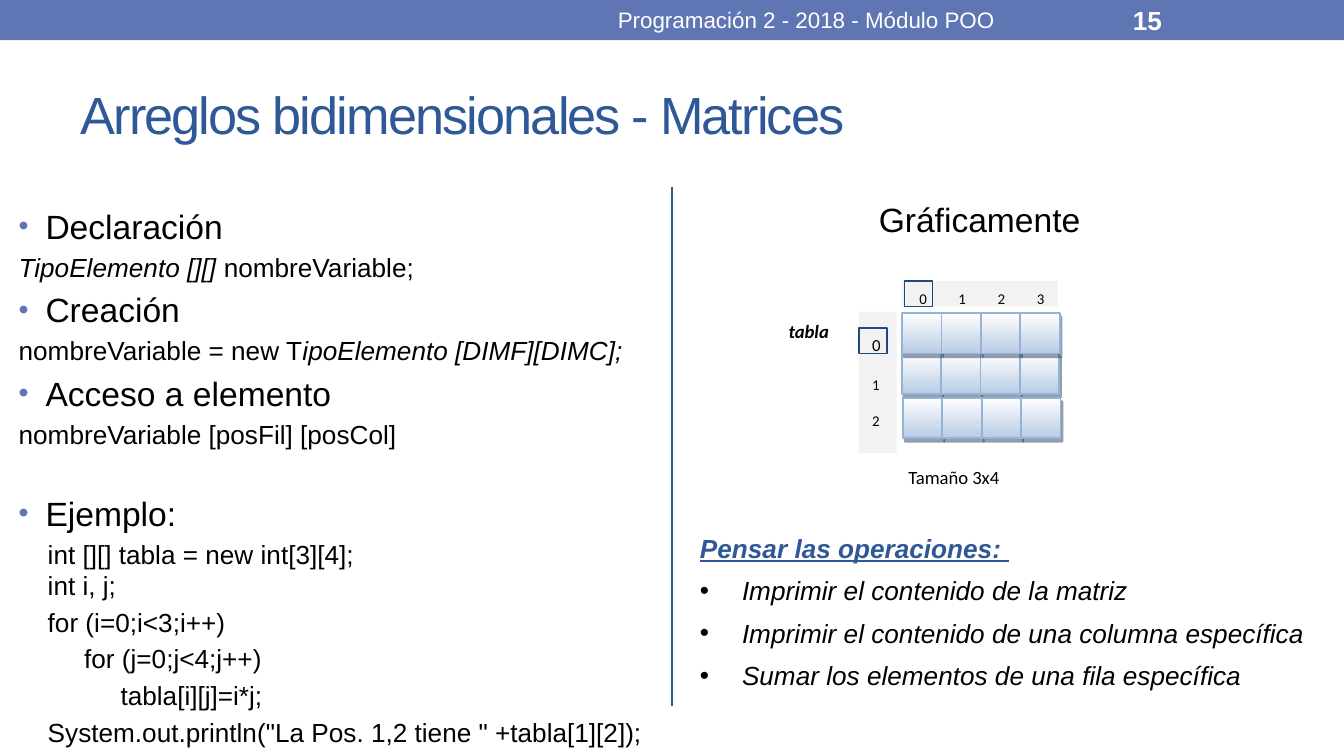
import dataclasses

import pptx
import pptx.dml.color
import pptx.enum.shapes
import pptx.enum.text
import pptx.oxml.ns
import pptx.util
from lxml import etree

Pt = pptx.util.Pt
qn = pptx.oxml.ns.qn
ANCHOR = pptx.enum.text.MSO_ANCHOR
ALIGN = pptx.enum.text.PP_ALIGN
SHAPES = pptx.enum.shapes.MSO_SHAPE

BLUE, NAVY, GRAY = "6076B4", "2F5897", "F2F2F2"
BLACK, WHITE = "000000", "FFFFFF"


@dataclasses.dataclass
class Run:
    text: str
    italic: bool = False


@dataclasses.dataclass
class Para:
    runs: list[Run]
    size: float = 14
    before: float = 0
    indent: float = 0
    bullet: str = ""  # bullet colour, empty for none
    bullet_pct: int = 100
    font: str = "Arial"
    color: str = BLACK
    bold: bool = False
    underline: bool = False
    align: ALIGN = ALIGN.LEFT


def rgb(value: str) -> pptx.dml.color.RGBColor:
    return pptx.dml.color.RGBColor.from_string(value)


def para(text: str, italic: bool = False, **fmt) -> Para:
    return Para([Run(text, italic)], **fmt)


def write(sp, paras: list[Para], anchor=ANCHOR.TOP, wrap=True, inset=(7.2, 3.6, 7.2, 3.6)) -> None:
    tf = sp.text_frame
    tf.word_wrap, tf.vertical_anchor = wrap, anchor
    tf.margin_left, tf.margin_top, tf.margin_right, tf.margin_bottom = map(Pt, inset)
    for i, item in enumerate(paras):
        p = tf.add_paragraph() if i else tf.paragraphs[0]
        p.alignment, p.space_before = item.align, Pt(item.before)
        pPr = p._p.get_or_add_pPr()
        pPr.set("marL", str(Pt(item.indent)))
        pPr.set("indent", str(-Pt(item.indent) if item.bullet else 0))
        if item.bullet:
            clr = etree.SubElement(pPr, qn("a:buClr"))
            etree.SubElement(clr, qn("a:srgbClr"), val=item.bullet)
            etree.SubElement(pPr, qn("a:buSzPct"), val=str(item.bullet_pct * 1000))
            etree.SubElement(pPr, qn("a:buFont"), typeface="Arial")
            etree.SubElement(pPr, qn("a:buChar"), char="•")
        for run in item.runs:
            r = p.add_run()
            r.text = run.text
            r.font.name, r.font.size = item.font, Pt(item.size)
            r.font.bold, r.font.italic = item.bold, run.italic
            r.font.underline = item.underline
            r.font.color.rgb = rgb(item.color)


def text_box(s, x: float, y: float, w: float, h: float, paras: list[Para], **fmt) -> None:
    write(s.shapes.add_textbox(Pt(x), Pt(y), Pt(w), Pt(h)), paras, **fmt)


def rect(s, x: float, y: float, w: float, h: float, fill="", line="", weight=1.0):
    sp = s.shapes.add_shape(SHAPES.RECTANGLE, Pt(x), Pt(y), Pt(w), Pt(h))
    sp.shadow.inherit = False
    if fill:
        sp.fill.solid()
        sp.fill.fore_color.rgb = rgb(fill)
    else:
        sp.fill.background()
    if line:
        sp.line.color.rgb, sp.line.width = rgb(line), Pt(weight)
    else:
        sp.line.fill.background()
    return sp


def matrix_cell(s, x: float, y: float) -> None:
    sp = rect(s, x, y, 21.1, 21.6, line="95B3D7")
    sp.fill.gradient()
    sp.fill.gradient_angle = 270
    for stop, pos, color in zip(sp.fill.gradient_stops, (0, 1), (WHITE, "B8CCE4")):
        stop.position, stop.color.rgb = pos, rgb(color)
    effects = sp._element.spPr.find(qn("a:effectLst"))
    shadow = etree.SubElement(effects, qn("a:outerShdw"), blurRad="0", dist=str(Pt(2.2)),
                              dir=str(63 * 60000), algn="ctr", rotWithShape="0")
    clr = etree.SubElement(shadow, qn("a:srgbClr"), val="243F60")
    etree.SubElement(clr, qn("a:alpha"), val="50000")


def heading(text: str, before: float = 3.6) -> Para:
    return para(text, size=18, before=before, indent=14.4, bullet=BLUE, bullet_pct=85)


def code(text: str, level: int = 0, before: float = 2.8) -> Para:
    return para(text, before=before, indent=15.6 + 19.5 * level)


def build() -> None:
    prs = pptx.Presentation()
    prs.slide_width, prs.slide_height = Pt(720), Pt(405)
    s = prs.slides.add_slide(prs.slide_layouts[5])

    # Header band, divider and title
    rect(s, 0, 0, 720, 21.6, fill=BLUE)
    divider = s.shapes.add_connector(pptx.enum.shapes.MSO_CONNECTOR.STRAIGHT,
                                     Pt(360), Pt(100), Pt(360), Pt(378))
    divider.line.color.rgb, divider.line.width = rgb(NAVY), Pt(1.5)
    etree.SubElement(divider._element.spPr, qn("a:effectLst"))
    title = s.shapes.title
    title.left, title.top, title.width, title.height = Pt(36), Pt(31.7), Pt(648), Pt(58.3)
    write(title, [para("Arreglos bidimensionales - Matrices", size=28, color=NAVY)],
          anchor=ANCHOR.MIDDLE)
    title.text_frame.paragraphs[0].runs[0].font._element.set("spc", "-100")
    text_box(s, 599.8, 1, 84.2, 19.4, [para("15", color=WHITE, bold=True)],
             anchor=ANCHOR.MIDDLE)
    text_box(s, 270, 1, 324, 19.4,
             [para("Programación 2 - 2018 - Módulo POO", size=12, color=WHITE,
                   align=ALIGN.CENTER)], anchor=ANCHOR.MIDDLE)

    # Syntax and example
    text_box(s, 2.9, 106.6, 351.4, 283.7, [
        heading("Declaración"),
        Para([Run("TipoElemento [][] ", True), Run("nombreVariable;")], before=2.8),
        heading("Creación"),
        Para([Run("nombreVariable = new T"), Run("ipoElemento [DIMF][DIMC];", True)],
             before=2.8),
        heading("Acceso a elemento"),
        para("nombreVariable [posFil] [posCol]", before=2.8),
        heading("Ejemplo:", before=22.9),
        code("int [][] tabla = new int[3][4];"),
        code("int i, j;", before=0),
        code("for (i=0;i<3;i++)"),
        code("for (j=0;j<4;j++)", 1),
        code("tabla[i][j]=i*j;", 2),
        code('System.out.println("La Pos. 1,2 tiene " +tabla[1][2]);'),
    ])

    # Matrix diagram: index strips, then cells
    text_box(s, 463.7, 103, 123.8, 28.8, [para("Gráficamente", size=18)], wrap=False)
    text_box(s, 415.4, 167.8, 44.6, 18,
             [para("tabla", italic=True, size=10, font="Calibri", bold=True)])
    text_box(s, 479.5, 246.2, 74.9, 23, [para("Tamaño 3x4", size=10, font="Calibri")])
    rect(s, 483.1, 150.5, 83.5, 13.7, fill=GRAY)
    for col in range(4):
        text_box(s, 487 + 21 * col, 150.5, 15, 13.7,
                 [para(str(col), size=8, font="Calibri", align=ALIGN.CENTER)],
                 inset=(0, 4.4, 0, 0))
    rows = rect(s, 460.1, 167, 20.2, 75.6, fill=GRAY)
    write(rows, [para("0", size=9, font="Calibri"),
                 para("1", size=8, font="Calibri", before=11),
                 para("2", size=8, font="Calibri", before=9.8)], anchor=ANCHOR.MIDDLE)
    for x, y in ((484.6, 150.5), (460.1, 175.7)):
        rect(s, x, y, 15.1, 13.7, line="1F497D", weight=0.75)
    # The middle row lies under the shadow of the first
    for x, y in ((483.1, 189.4), (483.3, 167.8), (483.8, 213.1)):
        for col in range(4):
            matrix_cell(s, x + 21.1 * col, y)

    # Exercises
    tasks = ("Imprimir el contenido de la matriz",
             "Imprimir el contenido de una columna específica",
             "Sumar los elementos de una fila específica")
    text_box(s, 367.9, 281.5, 339.1, 93.6, [
        para("Pensar las operaciones: ", italic=True, before=6, color=NAVY, bold=True,
             underline=True),
        *(para(t, italic=True, before=6, indent=22.5, bullet=BLACK) for t in tasks),
    ], wrap=False)

    prs.save("out.pptx")


if __name__ == "__main__":
    build()
